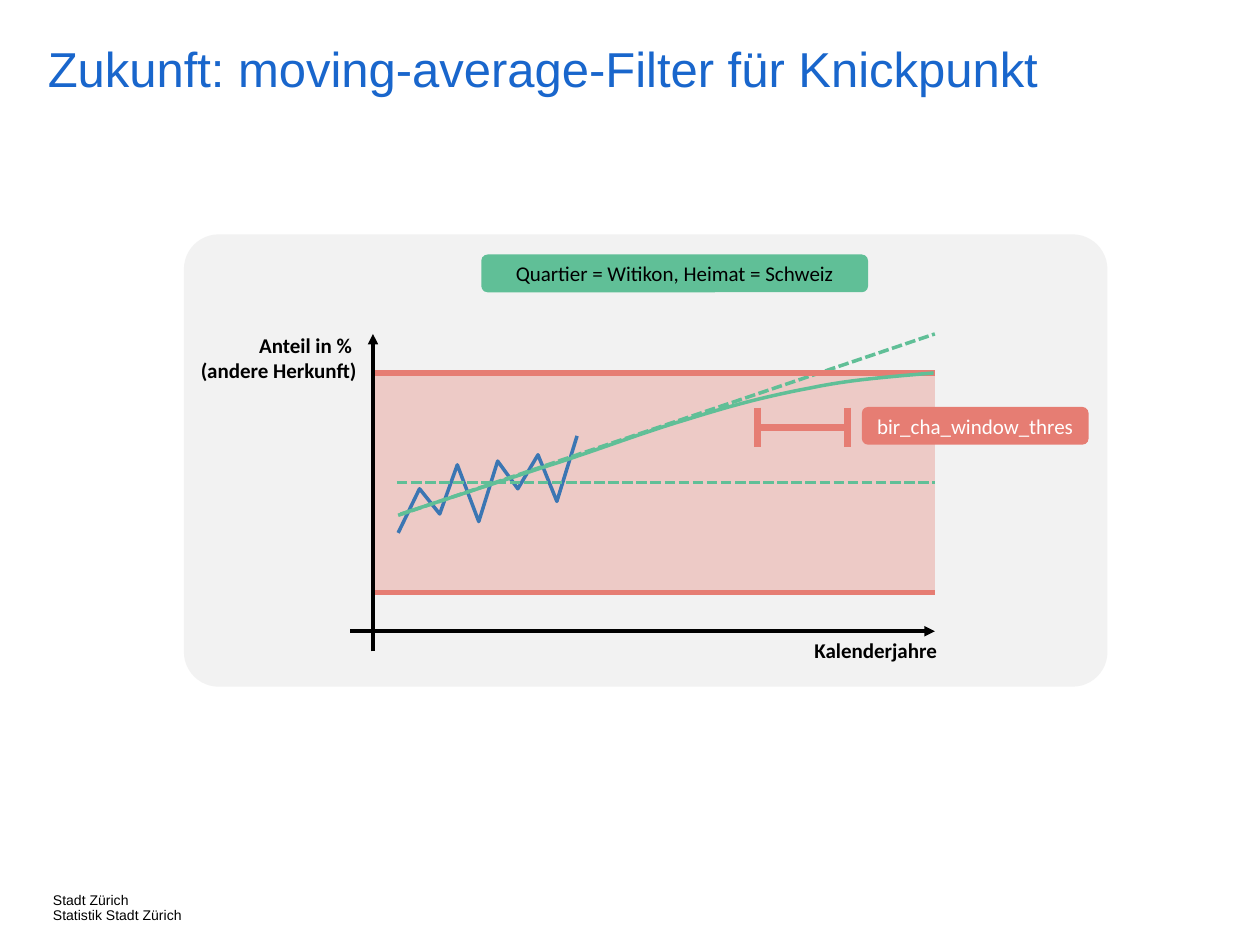
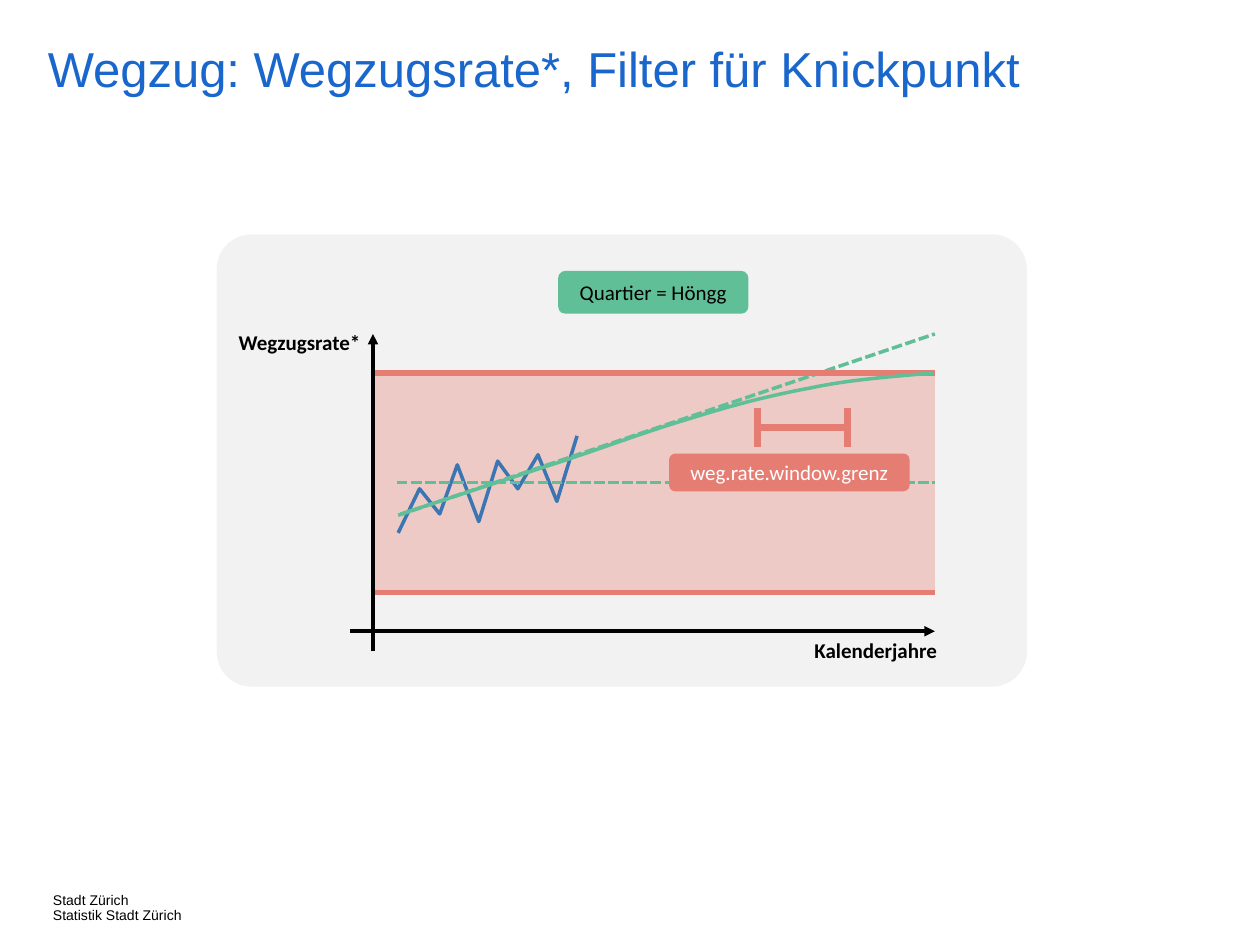
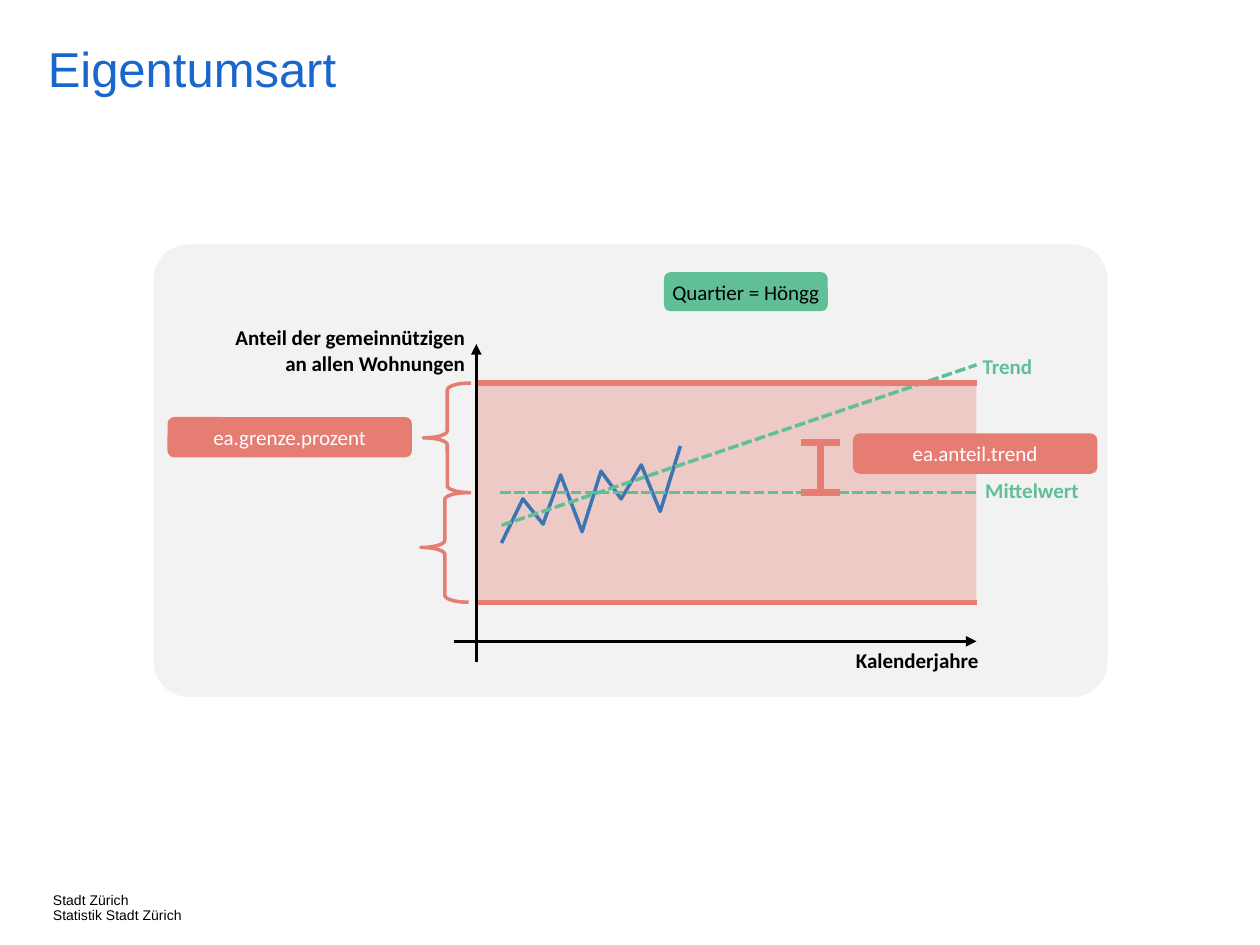
from dataclasses import dataclass

from lxml import etree
from pptx import Presentation
from pptx.dml.color import RGBColor
from pptx.enum.dml import MSO_LINE_DASH_STYLE as Dash
from pptx.enum.shapes import MSO_CONNECTOR, MSO_SHAPE as Shape
from pptx.enum.text import MSO_ANCHOR as Anchor, PP_ALIGN as Align
from pptx.oxml.ns import qn
from pptx.util import Inches, Pt

COLORS = {
    "title": "1966CC", "text": "000000", "white": "FFFFFF", "panel": "F2F2F2",
    "limit": "E67D73", "trend": "60BF97", "data": "3B76B3",
}
PANEL_H = 3.59
BAND_H = 1.74
MEAN_Y = BAND_H / 2
TREND_SLOPE = 0.338
CAP = 0.155  # half length of the end caps on a range marker

# Points relative to the top left corner of the limit band
DATA = [(0.2, 1.27), (0.37, 0.92), (0.53, 1.12), (0.67, 0.73), (0.84, 1.18),
        (0.99, 0.7), (1.15, 0.92), (1.31, 0.65), (1.46, 1.02), (1.62, 0.5)]
CURVE_START = (0.22, 1.12)
CURVE = [
    [(1.38, 0.74), (1.76, 0.62), (2.15, 0.47), (2.49, 0.37)],
    [(2.49, 0.37), (2.84, 0.26), (3.14, 0.18), (3.47, 0.12)],
    [(3.47, 0.12), (3.8, 0.05), (4.12, 0.03), (4.45, 0)],
]


@dataclass
class Plot:
    """Limit band of a diagram, in inches."""
    x: float
    y: float
    w: float

    @property
    def right(self):
        return self.x + self.w


def rgb(name):
    return RGBColor.from_string(COLORS[name])


def style_text(tf, size, color, font="Calibri", bold=False, align=Align.LEFT,
               spacing=None):
    for p in tf.paragraphs:
        p.alignment = align
        p.line_spacing = spacing
        for r in p.runs:
            r.font.size, r.font.name, r.font.bold = Pt(size), font, bold
            r.font.color.rgb = rgb(color)


def add_text(s, text, box, margins=True, wrap=True, **style):
    tf = s.shapes.add_textbox(*map(Inches, box)).text_frame
    tf.word_wrap = wrap
    if not margins:
        tf.margin_left = tf.margin_right = tf.margin_top = tf.margin_bottom = 0
    tf.text = text
    style_text(tf, **style)


def add_label(s, text, box, color="text", align=Align.RIGHT):
    add_text(s, text, box, size=12, color=color, bold=True, align=align)


def add_box(s, kind, box, fill=None):
    sp = s.shapes.add_shape(kind, *map(Inches, box))
    sp.shadow.inherit = False
    sp.line.fill.background()
    if fill:
        sp.fill.solid()
        sp.fill.fore_color.rgb = rgb(fill)
    else:
        sp.fill.background()
    return sp


def add_tag(s, text, box, fill, color):
    sp = add_box(s, Shape.ROUNDED_RECTANGLE, box, fill)
    tf = sp.text_frame
    tf.word_wrap = False
    tf.vertical_anchor = Anchor.MIDDLE
    tf.text = text
    style_text(tf, 12, color, align=Align.CENTER)


def add_filter_tag(s, text, box):
    add_tag(s, text, box, "trend", "text")


def add_parameter_tag(s, text, box):
    add_tag(s, text, box, "limit", "white")


def add_line(s, x1, y1, x2, y2, color, width, dash=None, arrow=False):
    line = s.shapes.add_connector(MSO_CONNECTOR.STRAIGHT,
                                  *map(Inches, (x1, y1, x2, y2)))
    line.line.color.rgb = rgb(color)
    line.line.width = Pt(width)
    if dash:
        line.line.dash_style = dash
    if arrow:
        etree.SubElement(line.line._get_or_add_ln(), qn("a:tailEnd"), type="triangle")
    etree.SubElement(line._element.spPr, qn("a:effectLst"))


def add_polyline(s, plot, points, color):
    emu = [(Inches(plot.x + x), Inches(plot.y + y)) for x, y in points]
    builder = s.shapes.build_freeform(*emu[0])
    builder.add_line_segments(emu[1:], close=False)
    sp = builder.convert_to_shape()
    sp.shadow.inherit = False
    sp.fill.background()
    sp.line.color.rgb = rgb(color)
    sp.line.width = Pt(2)


def bezier(nodes, steps=12):
    for i in range(steps + 1):
        t = i / steps
        weights = ((1 - t) ** 3, 3 * t * (1 - t) ** 2, 3 * t * t * (1 - t), t ** 3)
        yield tuple(sum(k * node[axis] for k, node in zip(weights, nodes))
                    for axis in (0, 1))


def add_damped_curve(s, plot):
    points = [CURVE_START] + [pt for nodes in CURVE for pt in bezier(nodes)]
    add_polyline(s, plot, points, "trend")


def add_range_marker(s, x1, y1, x2, y2):
    """Straight line with a cap across each end."""
    add_line(s, x1, y1, x2, y2, "limit", 4)
    dx, dy = (0, CAP) if y1 == y2 else (CAP, 0)
    for x, y in ((x1, y1), (x2, y2)):
        add_line(s, x - dx, y - dy, x + dx, y + dy, "limit", 4)


def add_frame(prs, title):
    """New slide with title and footer."""
    s = prs.slides.add_slide(prs.slide_layouts[6])
    add_text(s, "Stadt Zürich\nStatistik Stadt Zürich", (0.42, 7.09, 1.31, 0.2),
             margins=False, wrap=False, size=8, color="text", font="Arial", spacing=0.9)
    add_text(s, title, (0.38, 0.36, 8.4, 0.64), margins=False,
             size=28, color="title", font="Arial", spacing=0.9)
    return s


def add_diagram(s, plot, panel_x, panel_w):
    """Panel, limit band, axes, data and trend lines."""
    x, y, right = plot.x, plot.y, plot.right
    panel = add_box(s, Shape.ROUNDED_RECTANGLE,
                    (panel_x, y - 1.1, panel_w, PANEL_H), "panel")
    panel.adjustments[0] = 0.077
    band = add_box(s, Shape.RECTANGLE, (x, y, plot.w, BAND_H), "limit")
    etree.SubElement(band._element.spPr.find(".//" + qn("a:srgbClr")),
                     qn("a:alpha"), val="34000")

    # Time axis
    add_line(s, x - 0.18, y + 2.05, right, y + 2.05, "text", 2, arrow=True)
    add_label(s, "Kalenderjahre", (right - 1.09, y + 2.05, 1.24, 0.3),
              align=Align.CENTER)

    # Data, mean and linear trend
    add_polyline(s, plot, DATA, "data")
    add_line(s, x + 0.19, y + MEAN_Y, right, y + MEAN_Y, "trend", 2, Dash.SQUARE_DOT)
    trend_end = y + 1.13 - TREND_SLOPE * (plot.w - 0.2)
    add_line(s, x + 0.2, y + 1.13, right, trend_end, "trend", 2, Dash.SQUARE_DOT)

    # Limits and value axis
    for limit_y in (y + BAND_H, y):
        add_line(s, x, limit_y, right, limit_y, "limit", 3)
    add_line(s, x, y + 2.21, x, y - 0.31, "text", 2, arrow=True)


def add_window_diagram(s, panel_x, panel_w):
    """Diagram with a damped curve and a horizontal window."""
    plot = Plot(2.96, 2.96, 4.46)
    add_diagram(s, plot, panel_x, panel_w)
    window_y = plot.y + 0.43
    add_range_marker(s, plot.x + 3.05, window_y, plot.x + 3.77, window_y)
    add_damped_curve(s, plot)


def build_future(prs):
    s = add_frame(prs, "Zukunft: moving-average-Filter für Knickpunkt")
    add_window_diagram(s, 1.46, 7.33)
    add_parameter_tag(s, "bir_cha_window_thres", (6.84, 3.23, 1.8, 0.3))
    add_filter_tag(s, "Quartier = Witikon, Heimat = Schweiz", (3.82, 2.02, 3.07, 0.3))
    add_label(s, "Anteil in % \v(andere Herkunft)", (0.6, 2.59, 2.33, 0.5))


def build_departure(prs):
    s = add_frame(prs, "Wegzug: Wegzugsrate*, Filter für Knickpunkt")
    add_window_diagram(s, 1.72, 6.43)
    add_label(s, "Wegzugsrate*", (1.72, 2.57, 1.24, 0.3))
    add_parameter_tag(s, "weg.rate.window.grenz", (5.31, 3.6, 1.91, 0.3))
    add_filter_tag(s, "Quartier = Höngg", (4.43, 2.15, 1.51, 0.34))


def build_ownership(prs):
    s = add_frame(prs, "Eigentumsart")
    plot = Plot(3.78, 3.04, 3.97)
    add_diagram(s, plot, 1.22, 7.57)
    add_label(s, "Anteil der gemeinnützigen\van allen Wohnungen",
              (1.72, 2.53, 2.07, 0.5))
    add_label(s, "Mittelwert", (7.42, 3.74, 1.24, 0.3), "trend")
    add_label(s, "Trend", (7.65, 2.76, 0.64, 0.3), "trend")

    # Distance from the mean to each limit
    for brace_x, brace_y in ((3.36, plot.y), (3.34, plot.y + MEAN_Y)):
        brace = add_box(s, Shape.LEFT_BRACE, (brace_x, brace_y, 0.38, MEAN_Y))
        brace.adjustments[0] = 0.142
        brace.line.color.rgb = rgb("limit")
        brace.line.width = Pt(2)

    # Share of the trend
    add_range_marker(s, 6.51, 3.51, 6.51, plot.y + MEAN_Y)
    add_filter_tag(s, "Quartier = Höngg", (5.27, 2.16, 1.3, 0.31))
    add_parameter_tag(s, "ea.grenze.prozent", (1.33, 3.31, 1.94, 0.32))
    add_parameter_tag(s, "ea.anteil.trend", (6.77, 3.44, 1.94, 0.32))


def main():
    prs = Presentation()
    prs.slide_width, prs.slide_height = Inches(10), Inches(7.5)
    for build in (build_future, build_departure, build_ownership):
        build(prs)
    prs.save("out.pptx")


if __name__ == "__main__":
    main()
